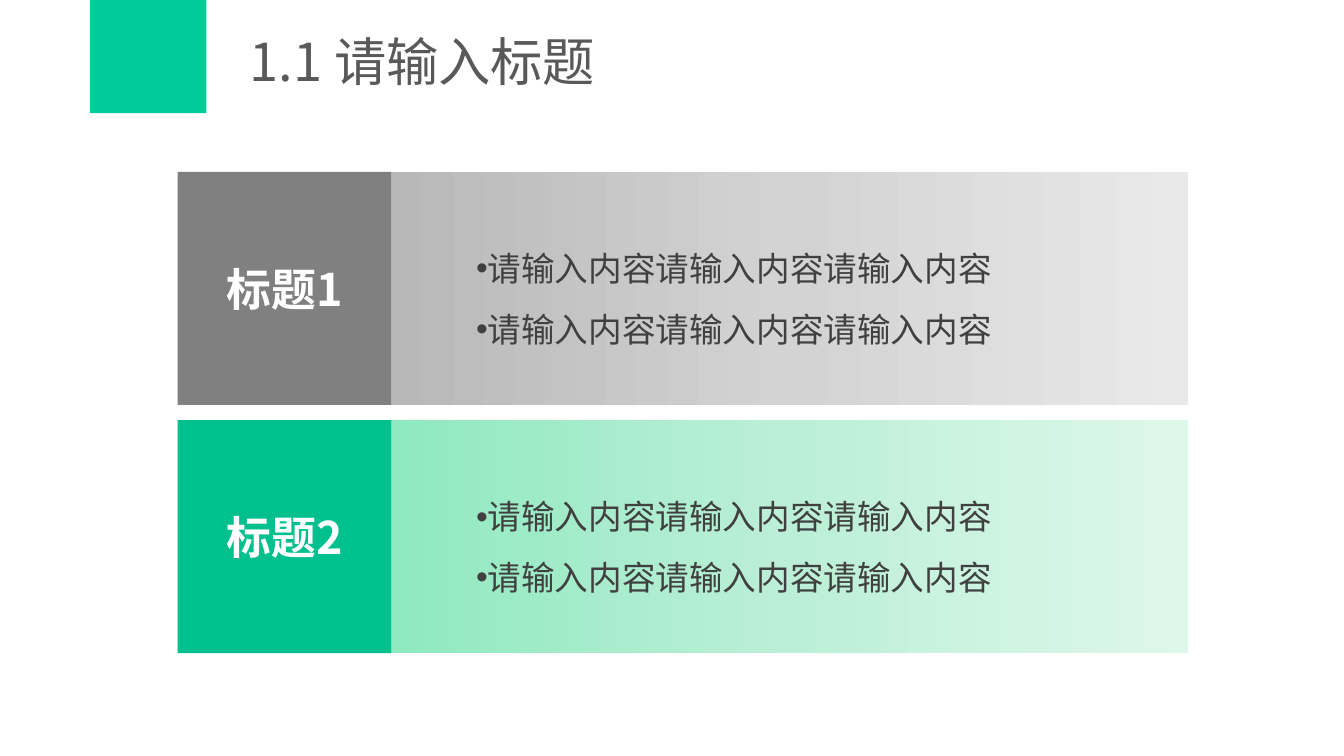
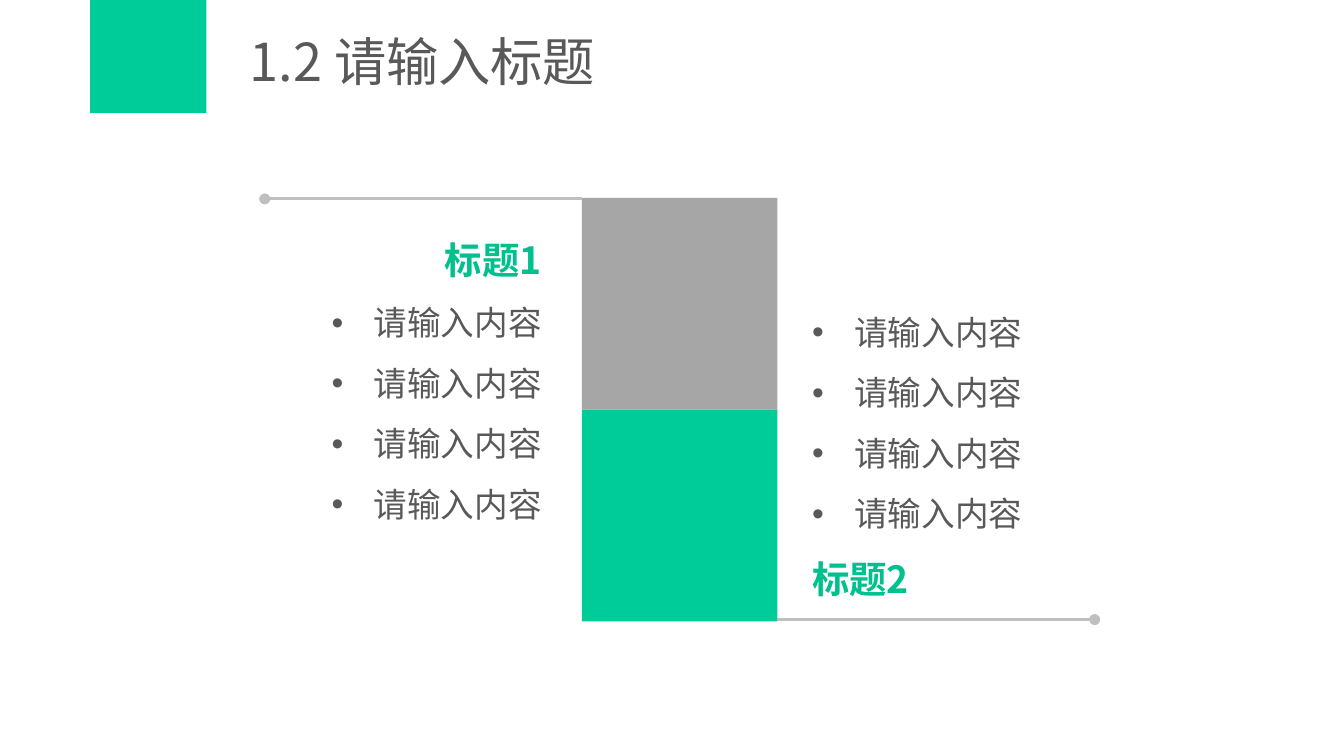
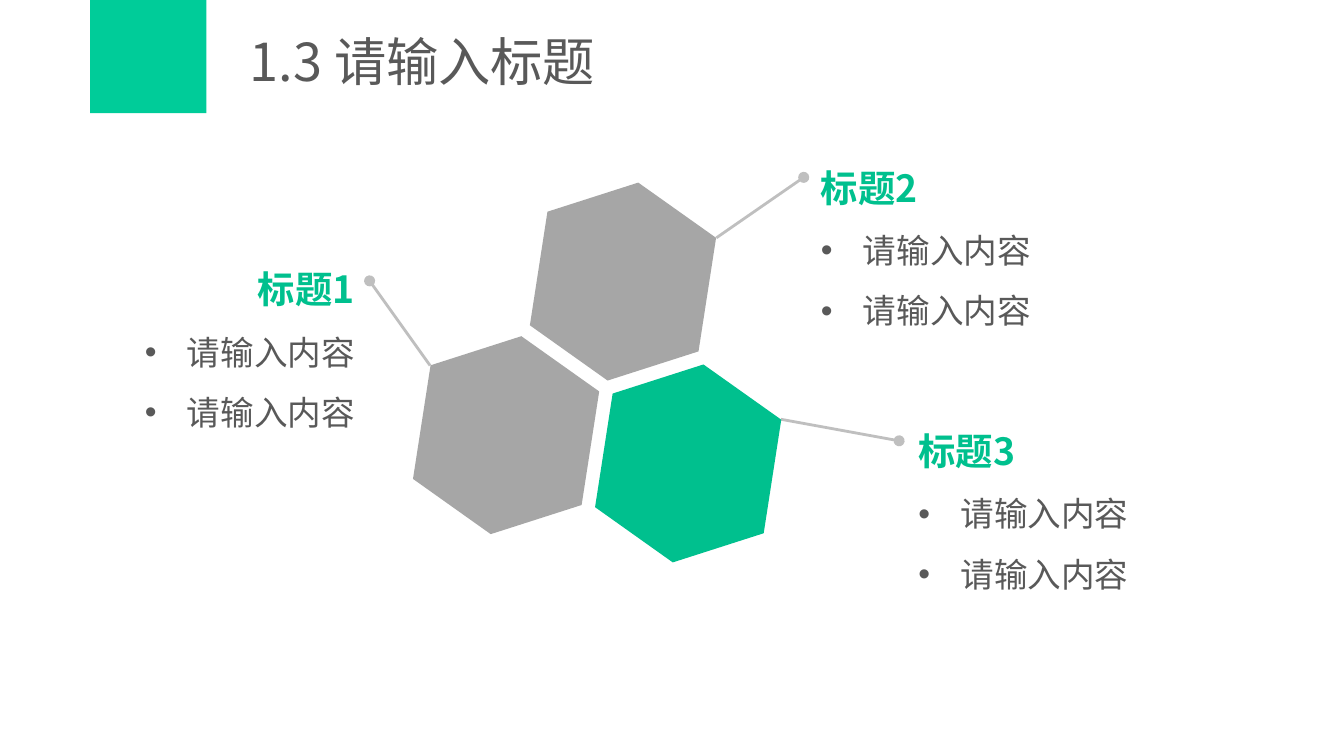
from copy import deepcopy

from lxml import etree
from pptx import Presentation
from pptx import util as u
from pptx.dml.color import RGBColor
from pptx.enum import shapes, text
from pptx.oxml.ns import qn

# Shared look
FONT = "Noto Sans CJK SC"
COLORS = {
    "band": "00CC99", "accent": "00C08E", "gray": "A6A6A6", "dark": "808080",
    "line": "BFBFBF", "title": "595959", "ink": "404040", "white": "FFFFFF",
}
FADES = {
    "dark": ("B8B8B8", "D3D3D3", "E9E9E9"),
    "accent": ("8FE9C0", "BCEFD7", "DEF7EB"),
}
LEFT, CENTER, RIGHT = (text.PP_ALIGN.LEFT, text.PP_ALIGN.CENTER,
                       text.PP_ALIGN.RIGHT)
RECT, HEXAGON = shapes.MSO_SHAPE.RECTANGLE, shapes.MSO_SHAPE.HEXAGON
TITLE_ONLY, TWO_LISTS, FOUR_LISTS = 5, 3, 4  # layouts of the template
ITEM = "请输入内容"

# Grid: 100 square cells across a 16:9 slide
WIDTH = u.Inches(10)
HEIGHT = u.Emu(WIDTH * 9 // 16)
CELL = WIDTH // 100


def grid(*cells):
    return [u.Emu(round(cell * CELL)) for cell in cells]


def rgb(name):
    return RGBColor.from_string(COLORS.get(name, name))


def place(box, at):
    box.left, box.top, box.width, box.height = grid(*at)


# Text
def format_para(para, size, color, bold=False, align=LEFT):
    para.alignment = align
    for span in para.runs:
        font = span.font
        font.name, font.size, font.bold = FONT, u.Pt(size), bold
        font.color.rgb = rgb(color)
        east_asian = etree.SubElement(font._element, qn("a:ea"))
        east_asian.set("typeface", FONT)


def set_bullet(para, margin, indent):
    """Give a list item its bullet, with lengths in cells."""
    props = para._p.get_or_add_pPr()
    for key, cells in (("marL", margin), ("indent", indent)):
        props.set(key, str(round(cells * CELL)))
    etree.SubElement(props, qn("a:buFont")).set("typeface", "Arial")
    etree.SubElement(props, qn("a:buChar")).set("char", "•")


def set_spacing(para):
    para.line_spacing = 1.5
    para.space_before = para.space_after = u.Pt(0)


def add_page(deck, layout, title):
    page = deck.slides.add_slide(deck.slide_layouts[layout])
    box = page.shapes.title
    place(box, (17.6, 1.35, 78.9, 6.3))
    frame = box.text_frame
    frame.text = title
    frame.auto_size = text.MSO_AUTO_SIZE.NONE
    frame.vertical_anchor = text.MSO_ANCHOR.MIDDLE
    format_para(frame.paragraphs[0], 28, "title")
    return page


def fill_list(box, at, heading, count, align=LEFT, heading_last=False):
    """Fill a body placeholder with a heading and its list items."""
    place(box, at)
    lines = [ITEM] * count
    lines.insert(count if heading_last else 0, heading)
    frame = box.text_frame
    frame.text = "\n".join(lines)
    frame.word_wrap = True
    frame.auto_size = text.MSO_AUTO_SIZE.NONE
    frame.vertical_anchor = text.MSO_ANCHOR.TOP
    for para, line in zip(frame.paragraphs, lines):
        set_spacing(para)
        if line == heading:
            format_para(para, 20, "accent", True, align)
            props = para._p.get_or_add_pPr()
            props.set("marL", "0")
            props.set("indent", "0")
            etree.SubElement(props, qn("a:buNone"))
        else:
            format_para(para, 18, "title", False, align)
            set_bullet(para, 3.13, -3.13)


# Shapes
def add_block(page, at, color, kind=RECT):
    block = page.shapes.add_shape(kind, *grid(*at))
    block.shadow.inherit = False
    block.fill.solid()
    block.fill.fore_color.rgb = rgb(color)
    block.line.fill.background()
    return block


def fade(block, colors):
    """Fill a block with a three-stop gradient from left to right."""
    block.fill.gradient()
    block.fill.gradient_angle = 0
    stops = block.element.spPr.find(qn("a:gradFill")).find(qn("a:gsLst"))
    stops.insert(1, deepcopy(stops[0]))
    for index, stop in enumerate(block.fill.gradient_stops):
        stop.position = index / 2
        stop.color.rgb = rgb(colors[index])


def write_block(block, words, left_inset):
    frame = block.text_frame
    frame.text = words
    frame.word_wrap = False
    frame.vertical_anchor = text.MSO_ANCHOR.MIDDLE
    frame.margin_left, frame.margin_right = grid(left_inset, 1.2)
    frame.margin_top = frame.margin_bottom = grid(0.6)[0]
    return frame.paragraphs


def add_leader(page, start, end):
    """Draw a line that ends in a dot."""
    leader = page.shapes.add_connector(
        shapes.MSO_CONNECTOR.STRAIGHT, *grid(*start, *end))
    leader.line.color.rgb = rgb("line")
    leader.line.width = u.Pt(1.5)
    props = leader.element.spPr
    etree.SubElement(props.find(qn("a:ln")), qn("a:tailEnd")).set("type", "oval")
    etree.SubElement(props, qn("a:effectLst"))


def add_master_band(deck, page):
    """Draw the corner band and hand it to the slide master."""
    band = add_block(page, (6.7, 0, 8.65, 8.43), "band")
    deck.slide_master.element.cSld.spTree.insert(2, band.element)


# Slides
def add_panels(deck):
    page = add_page(deck, TITLE_ONLY, "1.1 请输入标题")
    left, top, label, body, height, pitch = 13.22, 12.8, 15.9, 59.3, 17.33, 18.47
    for row, color in enumerate(("dark", "accent")):
        y = top + row * pitch
        panel = add_block(page, (left + label, y, body, height), color)
        fade(panel, FADES[color])
        for para in write_block(panel, "\n".join([ITEM * 3] * 2), 3.9):
            set_spacing(para)
            format_para(para, 18, "ink")
            set_bullet(para, 0, 2.4)
        tag = add_block(page, (left, y, label, height), color)
        for para in write_block(tag, f"标题{row + 1}", 1.2):
            format_para(para, 24, "white", True, CENTER)
    return page


def add_tower(deck):
    page = add_page(deck, TWO_LISTS, "1.2 请输入标题")
    left, top, width, height = 43.3, 14.73, 14.55, 15.75
    for row, color in enumerate(("gray", "band")):
        add_block(page, (left, top + row * height, width, height), color)
    right, reach = left + width, 23.6
    add_leader(page, (right, 46.1), (right + reach, 46.1))
    add_leader(page, (left, 14.8), (left - reach, 14.8))
    first, second = list(page.placeholders)[1:]
    fill_list(first, (20.6, 15.5, 20.7, 28.8), "标题1", 4, RIGHT)
    fill_list(second, (59.43, 21.2, 20.7, 24.2), "标题2", 4, heading_last=True)


def add_honeycomb(deck):
    page = add_page(deck, FOUR_LISTS, "1.3 请输入标题")
    width, height = 14.9, 12.7
    # Hexagon centre, colour, leader ends, list corner and width, alignment
    cells = [
        ((37.65, 32.38), "gray", (32, 27.2), (27.5, 20.9),
         (6.7, 17.67, 20.7), RIGHT),
        ((46.35, 20.95), "gray", (53.3, 17.7), (59.8, 13.2),
         (60.07, 10.1, 26.8), LEFT),
        ((51.2, 34.48), "accent", (58.1, 31.2), (66.9, 32.8),
         (67.33, 29.7, 26.8), LEFT),
    ]
    *bodies, spare = list(page.placeholders)[1:]
    spare.element.getparent().remove(spare.element)
    for number, (cell, box) in enumerate(zip(cells, bodies), 1):
        (x, y), color, start, end, corner, align = cell
        add_leader(page, start, end)
        at = (x - width / 2, y - height / 2, width, height)
        add_block(page, at, color, HEXAGON).rotation = 98.8
        fill_list(box, (*corner, 15.1), f"标题{number}", 2, align)


def main():
    deck = Presentation()
    deck.slide_width, deck.slide_height = WIDTH, HEIGHT
    add_master_band(deck, add_panels(deck))
    add_tower(deck)
    add_honeycomb(deck)
    deck.save("out.pptx")


main()
